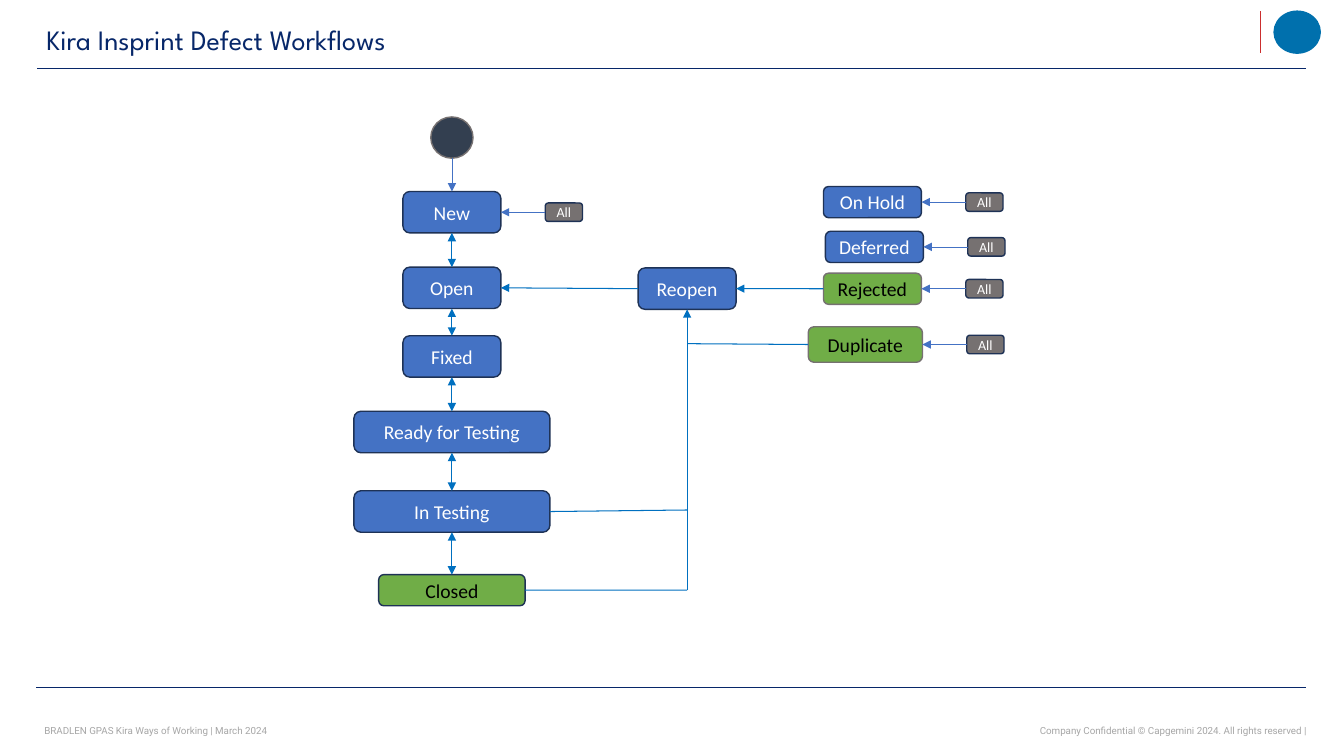
from lxml.etree import SubElement
from pptx import Presentation
from pptx.dml.color import RGBColor
from pptx.enum.shapes import MSO_CONNECTOR as Connector, MSO_SHAPE as Preset
from pptx.enum.text import MSO_ANCHOR as Anchor, MSO_AUTO_SIZE as AutoSize, PP_ALIGN as Align
from pptx.oxml.ns import qn
from pptx.util import Pt

NAVY = RGBColor(0x07, 0x27, 0x69)
OUTLINE = RGBColor(0x1E, 0x32, 0x56)
BLUE = RGBColor(0x44, 0x72, 0xC4)
FLOW = RGBColor(0x00, 0x70, 0xC0)
GREEN = RGBColor(0x70, 0xAD, 0x47)
SLATE = RGBColor(0x33, 0x3F, 0x50)
GREY = RGBColor(0x76, 0x71, 0x71)
PALE = RGBColor(0xA6, 0xA6, 0xA6)
EMBLEM = RGBColor(0x00, 0x70, 0xAD)
RED = RGBColor(0xCB, 0x2E, 0x2E)
WHITE = RGBColor(0xFF, 0xFF, 0xFF)
BLACK = RGBColor(0x00, 0x00, 0x00)

FRAME = {"margin_left": 0, "margin_right": 0, "margin_top": 0, "margin_bottom": 0,
         "vertical_anchor": Anchor.MIDDLE, "word_wrap": True}
LABEL_FONT = {"name": "Calibri", "size": Pt(14)}
TAG_FONT = {"name": "Calibri", "size": Pt(10)}
TITLE_FONT = {"name": "League Spartan", "size": Pt(20), "bold": False}
FOOTER_FONT = {"name": "Roboto", "size": Pt(7)}

presentation = Presentation()
presentation.slide_width, presentation.slide_height = Pt(960), Pt(540)
slide = presentation.slides.add_slide(presentation.slide_layouts[5])
shapes = slide.shapes


def write_text(shape, text, font_format, color, alignment):
    for name, value in FRAME.items():
        setattr(shape.text_frame, name, value)
    paragraph = shape.text_frame.paragraphs[0]
    paragraph.text = text
    paragraph.alignment = alignment
    for name, value in font_format.items():
        setattr(paragraph.font, name, value)
    paragraph.font.color.rgb = color


def draw_line(begin, end, color, width, arrows=()):
    ends = [Pt(value) for value in (*begin, *end)]
    connector = shapes.add_connector(Connector.STRAIGHT, *ends)
    connector.line.color.rgb = color
    connector.line.width = Pt(width)
    for arrow in arrows:
        SubElement(connector.line._get_or_add_ln(), qn(f"a:{arrow}"), type="triangle")
    SubElement(connector._element.spPr, qn("a:effectLst"))
    return connector


title = shapes.title
title.left, title.top, title.width, title.height = Pt(26), Pt(9.4), Pt(726), Pt(36.7)
write_text(title, "Kira Insprint Defect Workflows", TITLE_FONT, NAVY, Align.LEFT)
title.text_frame.margin_left = Pt(7.2)
title.text_frame.auto_size = AutoSize.NONE

draw_line((26.6, 49), (933, 49), NAVY, 1)
draw_line((26, 491), (933, 491), NAVY, 0.75)
draw_line((900.7, 8), (900.7, 38), RED, 0.75)

footers = [
    ("BRADLEN GPAS Kira Ways of Working | March 2024", 31.7, 268.6, Align.LEFT),
    ("Company Confidential © Capgemini 2024. All rights reserved |", 568.8, 364.3, Align.RIGHT),
]
for text, left, width, alignment in footers:
    box = shapes.add_textbox(Pt(left), Pt(513.4), Pt(width), Pt(17.3))
    write_text(box, text, FOOTER_FONT, PALE, alignment)

for center, top, width, height, fill, outline in [
    (926.6, 8, 33, 30, EMBLEM, EMBLEM),
    (322.8, 83.5, 30.2, 29.5, SLATE, GREY),
]:
    circle = shapes.add_shape(Preset.OVAL, Pt(center - width / 2), Pt(top), Pt(width), Pt(height))
    circle.shadow.inherit = False
    circle.fill.solid()
    circle.fill.fore_color.rgb = fill
    circle.line.color.rgb = outline
    circle.line.width = Pt(1)

MAIN, REOPEN, SIDE = 322.8, 490.8, 623.2
TAG_GAP, TAG_WIDTH, TAG_HEIGHT = 31.7, 26.6, 13.2
states = [
    ("New", MAIN, 136.8, 70, 29.6, BLUE, OUTLINE),
    ("Open", MAIN, 190.8, 70, 29.6, BLUE, OUTLINE),
    ("Fixed", MAIN, 239.8, 70, 29.6, BLUE, OUTLINE),
    ("Ready for Testing", MAIN, 293.8, 140, 29.6, BLUE, OUTLINE),
    ("In Testing", MAIN, 350.6, 140, 29.6, BLUE, OUTLINE),
    ("Closed", MAIN, 410.4, 104.6, 22.3, GREEN, OUTLINE),
    ("Reopen", REOPEN, 191.4, 70, 29.6, BLUE, OUTLINE),
    ("On Hold", SIDE, 133.2, 70, 22.3, BLUE, OUTLINE),
    ("Deferred", 624.6, 165.2, 70, 22.3, BLUE, OUTLINE),
    ("Rejected", SIDE, 195.1, 70, 22.3, GREEN, GREY),
    ("Duplicate", 618.1, 233.4, 81.6, 25.4, GREEN, GREY),
]
tagged = ["New", "On Hold", "Deferred", "Rejected", "Duplicate"]
tags = [
    ("All", center + width / 2 + TAG_GAP + TAG_WIDTH / 2, top + (height - TAG_HEIGHT) / 2,
     TAG_WIDTH, TAG_HEIGHT, GREY, OUTLINE)
    for label, center, top, width, height, fill, outline in states if label in tagged
]
nodes = []
for label, center, top, width, height, fill, outline in states + tags:
    node = shapes.add_shape(Preset.ROUNDED_RECTANGLE, Pt(center - width / 2), Pt(top),
                            Pt(width), Pt(height))
    node.shadow.inherit = False
    node.fill.solid()
    node.fill.fore_color.rgb = fill
    node.line.color.rgb = outline
    node.line.width = Pt(1)
    write_text(node, label, TAG_FONT if label == "All" else LABEL_FONT,
               BLACK if fill == GREEN else WHITE, Align.CENTER)
    nodes.append(node)

state_nodes = {state[0]: node for state, node in zip(states, nodes)}
tag_nodes = nodes[len(states):]
main_chain = [state_nodes[state[0]] for state in states[:6]]

TOP, LEFT, BOTTOM, RIGHT = range(4)
ONE_WAY, TWO_WAY = ("tailEnd",), ("headEnd", "tailEnd")
links = [(upper, BOTTOM, lower, TOP, FLOW, 0.75, TWO_WAY)
         for upper, lower in zip(main_chain, main_chain[1:])]
links += [(tag, LEFT, state_nodes[label], RIGHT, BLUE, 0.5, ONE_WAY)
          for label, tag in zip(tagged, tag_nodes)]
links += [(state_nodes[source], LEFT, state_nodes[target], RIGHT, FLOW, 0.75, ONE_WAY)
          for source, target in [("Reopen", "Open"), ("Rejected", "Reopen")]]
for source, source_site, target, target_site, color, width, arrows in links:
    connector = draw_line((0, 0), (0, 0), color, width, arrows)
    connector.begin_connect(source, source_site)
    connector.end_connect(target, target_site)

draw_line((MAIN, 113), (MAIN, 136.8), BLUE, 0.5, ONE_WAY)
draw_line((REOPEN, 421.5), (REOPEN, 221), FLOW, 0.75, ONE_WAY)
for label, site, junction in [("Duplicate", LEFT, 245.5), ("In Testing", RIGHT, 364.3),
                              ("Closed", RIGHT, 421.5)]:
    branch = draw_line((REOPEN, junction), (REOPEN, junction), FLOW, 0.75)
    branch.end_connect(state_nodes[label], site)

presentation.save("out.pptx")
